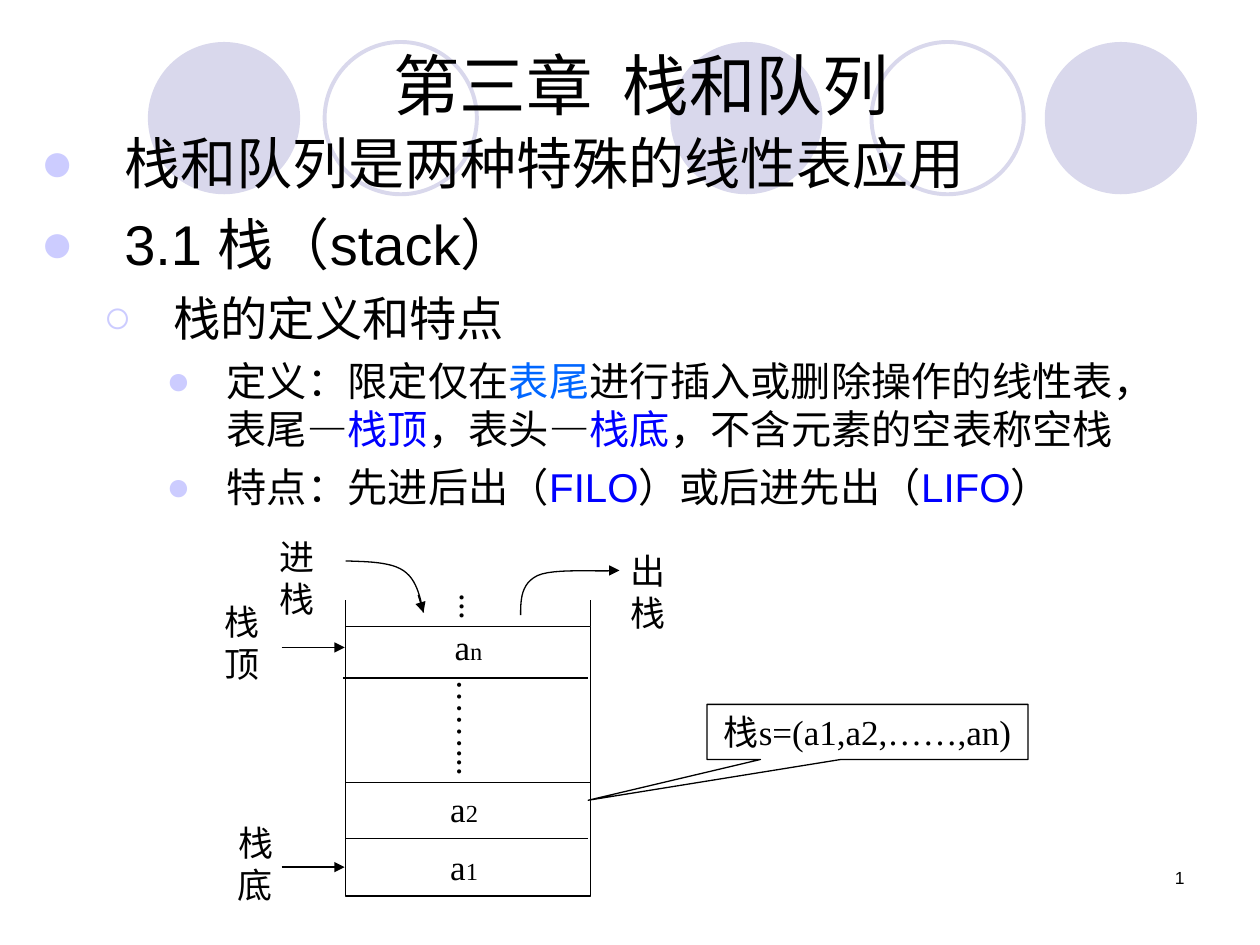
import pptx
import pptx.util
import pptx.dml.color
import pptx.enum.shapes
import pptx.enum.text
import pptx.oxml.ns
import lxml.etree
from dataclasses import dataclass

Pt = pptx.util.Pt
SHAPE = pptx.enum.shapes.MSO_SHAPE
ALIGN = pptx.enum.text.PP_ALIGN
ANCHOR = pptx.enum.text.MSO_ANCHOR
qn = pptx.oxml.ns.qn


@dataclass(frozen=True)
class Theme:
    black: str = "000000"
    key: str = "0000FF"
    accent: str = "0066FF"
    bullet: str = "CCCCFF"
    circle: str = "D9D8EC"
    sans: str = "Arial"
    serif: str = "Times New Roman"
    title: float = 38
    body: tuple = (32, 27, 23)
    label: float = 20
    index: float = 14
    number: float = 10
    thin: float = 0.75
    ring: float = 2.25


def rgb(color):
    return pptx.dml.color.RGBColor.from_string(color)


class SlideBuilder:
    # Per outline level: left margin, hanging indent, space before, bullet
    LEVELS = ((48, 48, 8, "●"), (76, 40, 6.8, "○"), (106.5, 34.5, 5.8, "●"))

    def __init__(self, s, theme):
        self.s, self.t = s, theme

    def run(self, p, text, size, font, color=None):
        r = p.add_run()
        r.text = text
        r.font.size, r.font.name = Pt(size), font
        r.font.color.rgb = rgb(color or self.t.black)

    def frame(self, sp, anchor=ANCHOR.MIDDLE, wrap=False, vertical=False):
        tf = sp.text_frame
        tf.word_wrap, tf.vertical_anchor = wrap, anchor
        wide, narrow = Pt(7.2), Pt(3.6)
        if vertical:
            tf._txBody.bodyPr.set("vert", "eaVert")
            wide, narrow = narrow, wide
        tf.margin_left = tf.margin_right = wide
        tf.margin_top = tf.margin_bottom = narrow
        return tf

    def text(self, box, runs, align=ALIGN.CENTER, **frame):
        """Text box with one paragraph; runs are (text, size, font)."""
        sp = self.s.shapes.add_textbox(*map(Pt, box))
        p = self.frame(sp, **frame).paragraphs[0]
        p.alignment = align
        for r in runs:
            self.run(p, *r)

    def label(self, box, text, index="", **frame):
        runs = [(text, self.t.label, self.t.serif)]
        if index:
            runs.append((index, self.t.index, self.t.serif))
        self.text(box, runs, **frame)

    def outline(self, box, items):
        """Bulleted text; items are (level, [(text, color), ...])."""
        sp = self.s.shapes.add_textbox(*map(Pt, box))
        tf = self.frame(sp, ANCHOR.TOP, wrap=True)
        for i, (level, runs) in enumerate(items):
            p = tf.add_paragraph() if i else tf.paragraphs[0]
            margin, hang, before, char = self.LEVELS[level]
            p.level, p.space_before = level, Pt(before)
            pPr = p._p.get_or_add_pPr()
            pPr.set("marL", str(Pt(margin)))
            pPr.set("indent", str(-Pt(hang)))
            clr = lxml.etree.SubElement(pPr, qn("a:buClr"))
            lxml.etree.SubElement(clr, qn("a:srgbClr"), val=self.t.bullet)
            lxml.etree.SubElement(pPr, qn("a:buFont"), typeface=self.t.sans)
            lxml.etree.SubElement(pPr, qn("a:buChar"), char=char)
            for text, color in runs:
                self.run(p, text, self.t.body[level], self.t.sans, color)

    def style(self, sp, fill=None, line=None, width=None):
        sp.shadow.inherit = False
        if fill:
            sp.fill.solid()
            sp.fill.fore_color.rgb = rgb(fill)
        else:
            sp.fill.background()
        if line:
            sp.line.color.rgb = rgb(line)
            sp.line.width = Pt(width or self.t.thin)
        else:
            sp.line.fill.background()

    def shape(self, kind, box, **style):
        sp = self.s.shapes.add_shape(kind, *map(Pt, box))
        self.style(sp, **style)
        return sp

    def callout(self, box, text, tip):
        sp = self.shape(SHAPE.RECTANGULAR_CALLOUT, box, line=self.t.black)
        sp.adjustments[0], sp.adjustments[1] = tip
        p = self.frame(sp).paragraphs[0]
        p.alignment = ALIGN.CENTER
        self.run(p, text, self.t.label, self.t.serif)

    def line(self, x1, y1, x2, y2, arrow=False):
        c = self.s.shapes.add_connector(
            pptx.enum.shapes.MSO_CONNECTOR.STRAIGHT, *map(Pt, (x1, y1, x2, y2)))
        c.line.color.rgb, c.line.width = rgb(self.t.black), Pt(self.t.thin)
        if arrow:
            lxml.etree.SubElement(c.line._get_or_add_ln(), qn("a:tailEnd"), type="triangle")
        lxml.etree.SubElement(c._element.spPr, qn("a:effectLst"))

    def curve(self, start, *segments, steps=12):
        """Smooth open path through cubic segments (control, control, end)."""
        points, p0 = [], start
        for p1, p2, p3 in segments:
            for t in (i / steps for i in range(1, steps + 1)):
                u = 1 - t
                points.append(tuple(
                    Pt(u**3 * a + 3 * u * u * t * b + 3 * u * t * t * c + t**3 * d)
                    for a, b, c, d in zip(p0, p1, p2, p3)))
            p0 = p3
        path = self.s.shapes.build_freeform(*map(Pt, start))
        path.add_line_segments(points, close=False)
        self.style(path.convert_to_shape(), line=self.t.black)


def main():
    prs = pptx.Presentation()
    prs.slide_width, prs.slide_height = Pt(720), Pt(540)
    t = Theme()
    b = SlideBuilder(prs.slides.add_slide(prs.slide_layouts[6]), t)

    # Background circles
    for x in (383, 597, 84.5):
        b.shape(SHAPE.OVAL, (x, 24, 87, 87), fill=t.circle)
    for x in (498, 185.5):
        b.shape(SHAPE.OVAL, (x, 24, 87, 87), line=t.circle, width=t.ring)

    # Title and outline
    b.text((60.5, 23, 612, 50), [("第三章  栈和队列", t.title, t.sans)], wrap=True)
    b.outline((16, 70, 668, 265), [
        (0, [("栈和队列是两种特殊的线性表应用", t.black)]),
        (0, [("3.1 栈（stack）", t.black)]),
        (1, [("栈的定义和特点", t.black)]),
        (2, [("定义：限定仅在", t.black), ("表尾", t.accent),
             ("进行插入或删除操作的线性表，表尾—", t.black), ("栈顶", t.key),
             ("，表头—", t.black), ("栈底", t.key),
             ("，不含元素的空表称空栈", t.black)]),
        (2, [("特点：先进后出（", t.black), ("FILO", t.key),
             ("）或后进先出（", t.black), ("LIFO", t.key), ("）", t.black)]),
    ])

    # Stack body: frame, dividers and open top
    left, right, top = 197.5, 337.5, 358
    b.shape(SHAPE.RECTANGLE, (left, top, right - left, 154), line=t.black)
    for x1, x2, y in ((196, 336, 387.5), (left, right, 447), (left, 336, 479)):
        b.line(x1, y, x2, y)
    b.line(left, 343, left, 362)
    b.line(right, top, right, 343)

    # Stack elements
    for x, y, index in ((252.5, 353.5, "n"), (250, 446.5, "2"), (250, 479.5, "1")):
        b.label((x, y, 30.5, 31.5), "a", index)
    b.label((250.5, 381, 38, 62.5), "……...", vertical=True)
    b.label((252, 332, 38, 22.5), "...", vertical=True)

    # Top and bottom pointers, push and pop
    for y in (370, 495.5):
        b.line(161, y, left - 0.5, y, arrow=True)
    for x, y, text in ((119, 477.5, "栈底"), (111.5, 351.5, "栈顶"),
                       (343.5, 322, "出栈"), (142.5, 314.5, "进栈")):
        b.label((x, y, 54, 31.5), text)
    b.curve((197.5, 320.5), ((210, 321), (223, 321), (230.5, 326)),
            ((238, 331), (240, 340.5), (242, 350)))
    b.line(239, 340, 242, 350, arrow=True)
    b.curve((297.5, 351.5), ((297.5, 342), (298, 333.5), (307, 329)),
            ((316, 324.5), (344, 327), (351.5, 326)))
    b.line(339, 326, 354, 326, arrow=True)

    # Notation callout and slide number
    b.callout((404, 402.5, 183.5, 31.5), "栈s=(a1,a2,……,an)", (-0.87, 1.24))
    b.text((516, 492, 168, 36), [("1", t.number, t.sans)], ALIGN.RIGHT,
           anchor=ANCHOR.TOP, wrap=True)
    prs.save("out.pptx")


if __name__ == "__main__":
    main()
